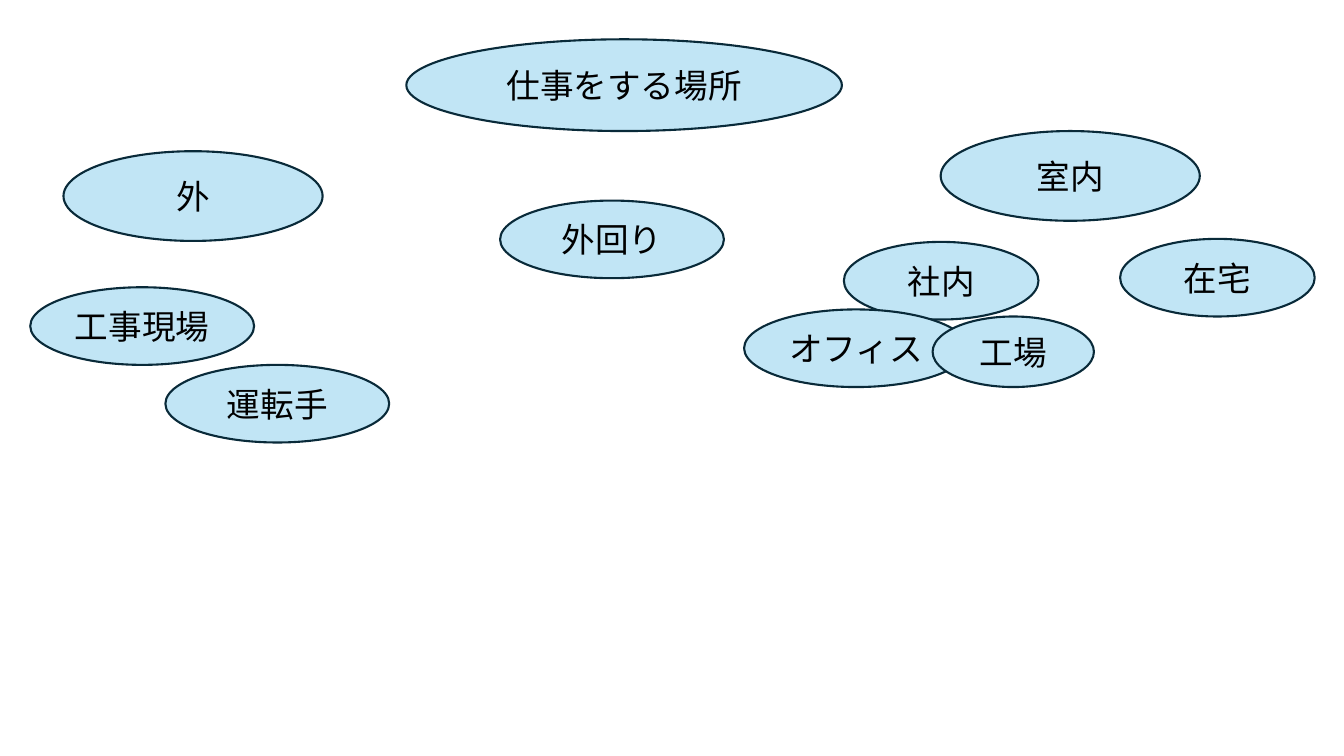
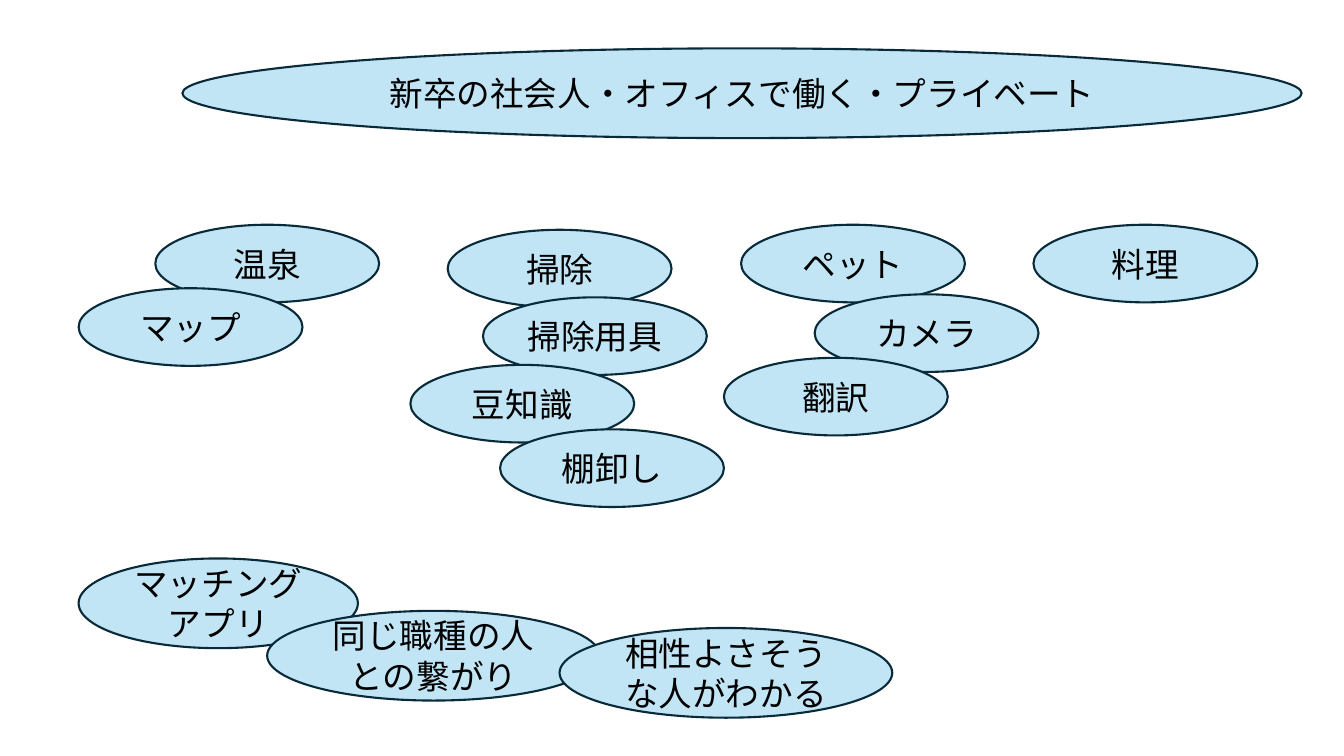
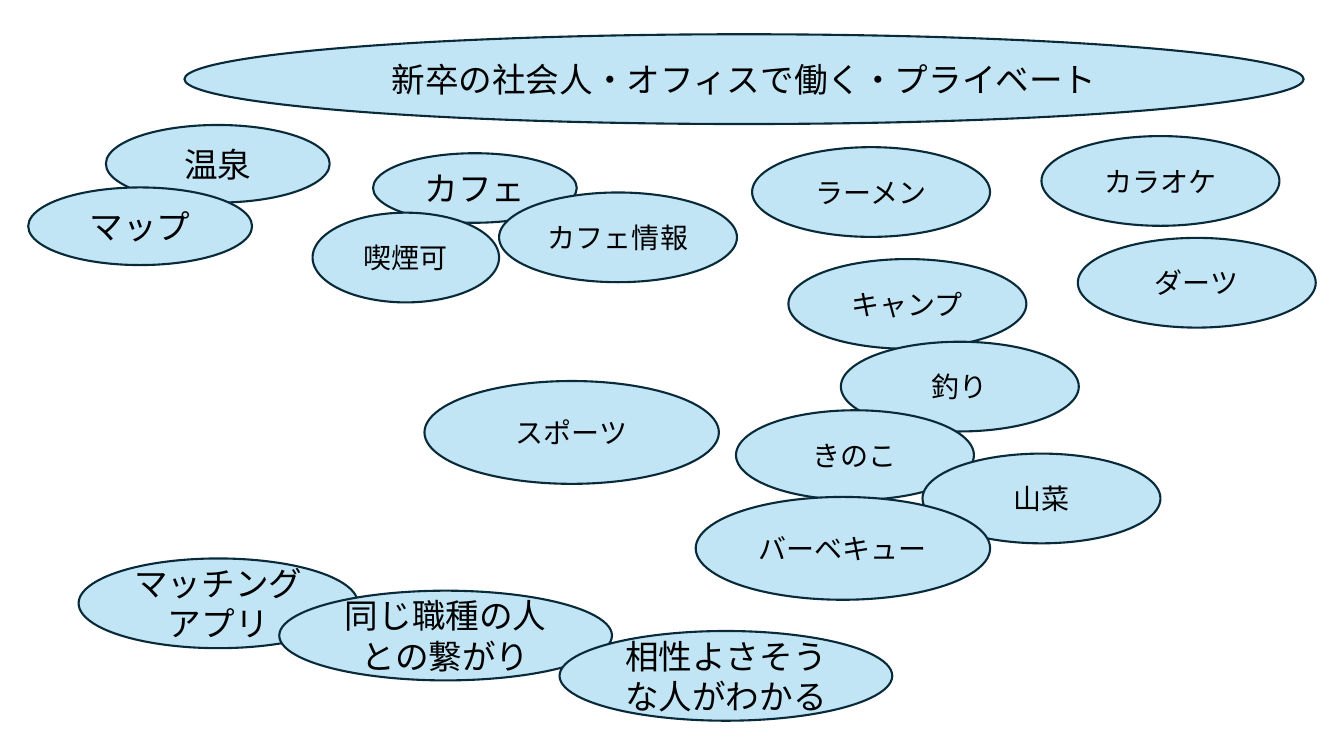
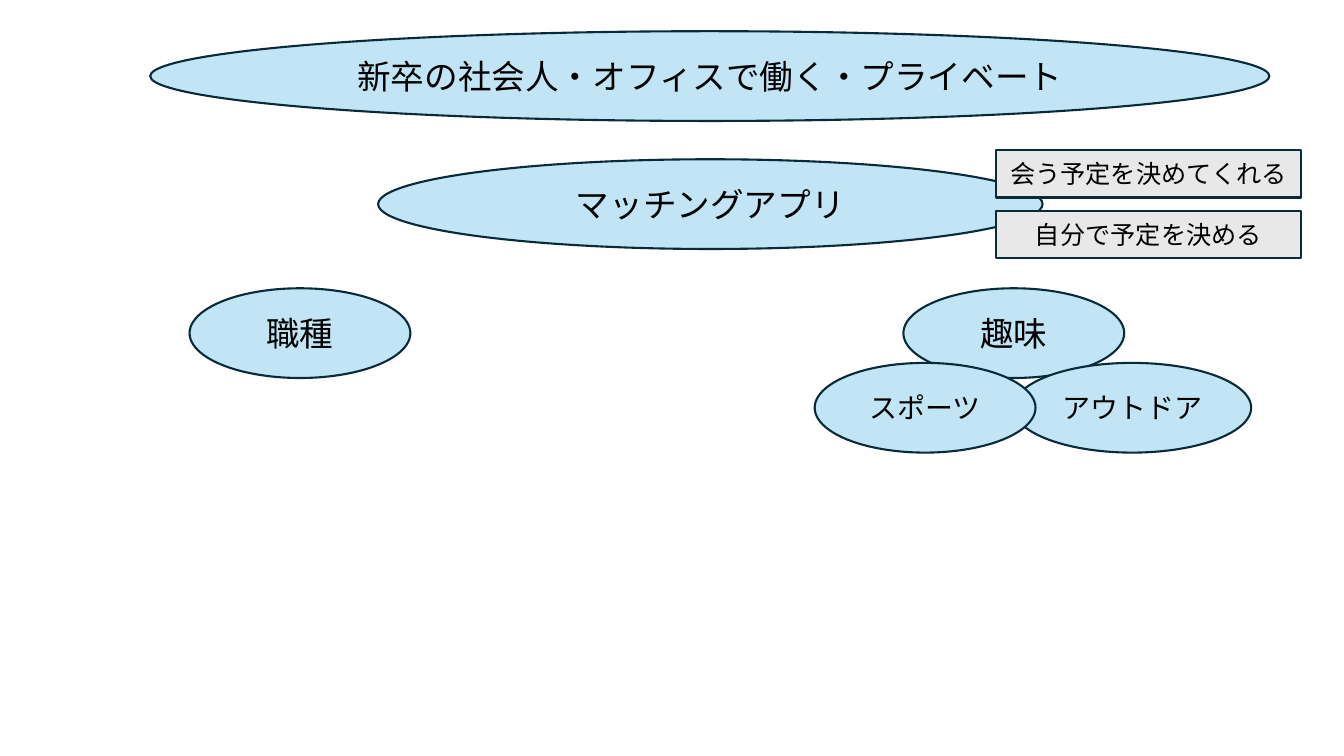
import pptx
import pptx.util
import pptx.dml.color
import pptx.enum.shapes
import pptx.enum.text
import pptx.oxml.ns
import lxml.etree

Inches = pptx.util.Inches
OVAL = pptx.enum.shapes.MSO_SHAPE.OVAL
RECTANGLE = pptx.enum.shapes.MSO_SHAPE.RECTANGLE
PALE_BLUE = pptx.dml.color.RGBColor(0xC1, 0xE5, 0xF5)
PALE_GRAY = pptx.dml.color.RGBColor(0xE8, 0xE8, 0xE8)
NAVY = pptx.dml.color.RGBColor(0x09, 0x2A, 0x39)
BLACK = pptx.dml.color.RGBColor(0, 0, 0)
FONT = "Noto Sans CJK JP"

BANNER = (11.1, 0.89)
CATEGORY = (2.57, 0.89)
INDOOR = (1.93, 0.77)
IDEA = (2.22, 0.77)
MATCHING = (2.77, 0.89)
FEATURE = (3.3, 0.89)
HOBBY = (2.36, 0.89)
ACTIVITY = (2.92, 1.02)
THEME = (2.19, 0.89)
OPTION = (3.02, 0.47)

PERSONA = "新卒の社会人・オフィスで働く・プライベート"
APP = "マッチングアプリ"
CONNECTION = "同じ職種の人との繋がり"
AFFINITY = "相性よさそうな人がわかる"


def add_label(slide, text, *, at, size, points=24, outline=OVAL, fill=PALE_BLUE):
    label = slide.shapes.add_shape(outline, *map(Inches, at + size))
    label.shadow.inherit = False
    label.fill.solid()
    label.fill.fore_color.rgb = fill
    label.line.color.rgb = NAVY
    label.line.width = pptx.util.Pt(1.5)
    label.text_frame.word_wrap = True
    label.text_frame.vertical_anchor = pptx.enum.text.MSO_ANCHOR.MIDDLE
    paragraph = label.text_frame.paragraphs[0]
    paragraph.alignment = pptx.enum.text.PP_ALIGN.CENTER
    run = paragraph.add_run()
    run.text = text
    run.font.size = pptx.util.Pt(points)
    run.font.color.rgb = BLACK
    run.font.name = FONT
    east_asian = lxml.etree.SubElement(run.font._element, pptx.oxml.ns.qn("a:ea"))
    east_asian.set("typeface", FONT)


idea_maps = [
    [
        ((4.32, 0.91), 24, [("仕事をする場所", 4.03, 0.39)]),
        (CATEGORY, 24, [("外", 0.63, 1.5), ("室内", 9.33, 1.3)]),
        (INDOOR, 24, [("在宅", 11.11, 2.37), ("社内", 8.37, 2.4)]),
        (IDEA, 24, [
            ("オフィス", 7.38, 3.07),
            ("外回り", 4.96, 1.99),
            ("工事現場", 0.3, 2.85),
            ("運転手", 1.64, 3.62),
        ]),
        ((1.6, 0.7), 24, [("工場", 9.25, 3.14)]),
    ],
    [
        (BANNER, 24, [(PERSONA, 1.81, 0.48)]),
        (IDEA, 24, [
            ("温泉", 1.54, 2.23),
            ("掃除", 4.44, 2.28),
            ("ペット", 7.35, 2.23),
            ("料理", 10.25, 2.23),
            ("掃除用具", 4.79, 2.95),
            ("マップ", 0.78, 2.86),
            ("豆知識", 4.07, 3.62),
            ("棚卸し", 4.96, 4.26),
            ("カメラ", 8.08, 2.92),
            ("翻訳", 7.18, 3.55),
        ]),
        (MATCHING, 24, [(APP, 0.78, 5.54)]),
        (FEATURE, 24, [(CONNECTION, 2.65, 6.06), (AFFINITY, 5.55, 6.23)]),
    ],
    [
        (BANNER, 24, [(PERSONA, 1.83, 0.34)]),
        (IDEA, 24, [("温泉", 1.05, 1.24), ("マップ", 0.28, 1.86)]),
        (MATCHING, 24, [(APP, 0.78, 5.54)]),
        (FEATURE, 24, [(CONNECTION, 2.77, 5.86), (AFFINITY, 5.55, 6.26)]),
        ((2.02, 0.69), 24, [("カフェ", 3.7, 1.52)]),
        (HOBBY, 20, [("カフェ情報", 4.95, 1.91)]),
        ((1.85, 0.89), 20, [("喫煙可", 3.1, 2.11)]),
        (HOBBY, 20, [
            ("ラーメン", 7.46, 1.46),
            ("カラオケ", 10.33, 1.35),
            ("ダーツ", 10.69, 2.36),
            ("キャンプ", 7.82, 2.57),
            ("釣り", 8.34, 3.39),
            ("きのこ", 7.3, 4.07),
            ("山菜", 9.15, 4.5),
        ]),
        (ACTIVITY, 20, [("バーベキュー", 6.9, 4.93), ("スポーツ", 4.21, 3.78)]),
    ],
    [
        (BANNER, 24, [(PERSONA, 1.49, 0.31)]),
        ((6.59, 0.89), 24, [(APP, 3.75, 1.58)]),
        (THEME, 24, [("職種", 1.88, 2.86), ("趣味", 8.96, 2.86)]),
        (HOBBY, 20, [("アウトドア", 10.05, 3.6)]),
        (THEME, 20, [("スポーツ", 8.08, 3.6)]),
    ],
]

presentation = pptx.Presentation()
presentation.slide_width = Inches(13.33)
presentation.slide_height = Inches(7.5)
blank_layout = presentation.slide_layouts[6]

for idea_map in idea_maps:
    slide = presentation.slides.add_slide(blank_layout)
    for size, points, ideas in idea_map:
        for text, left, top in ideas:
            add_label(slide, text, at=(left, top), size=size, points=points)

matching_slide = presentation.slides[3]
for row, text in enumerate(["会う予定を決めてくれる", "自分で予定を決める"]):
    add_label(matching_slide, text, at=(9.88, 1.49 + row * 0.6), size=OPTION,
              points=18, outline=RECTANGLE, fill=PALE_GRAY)

presentation.save("out.pptx")
